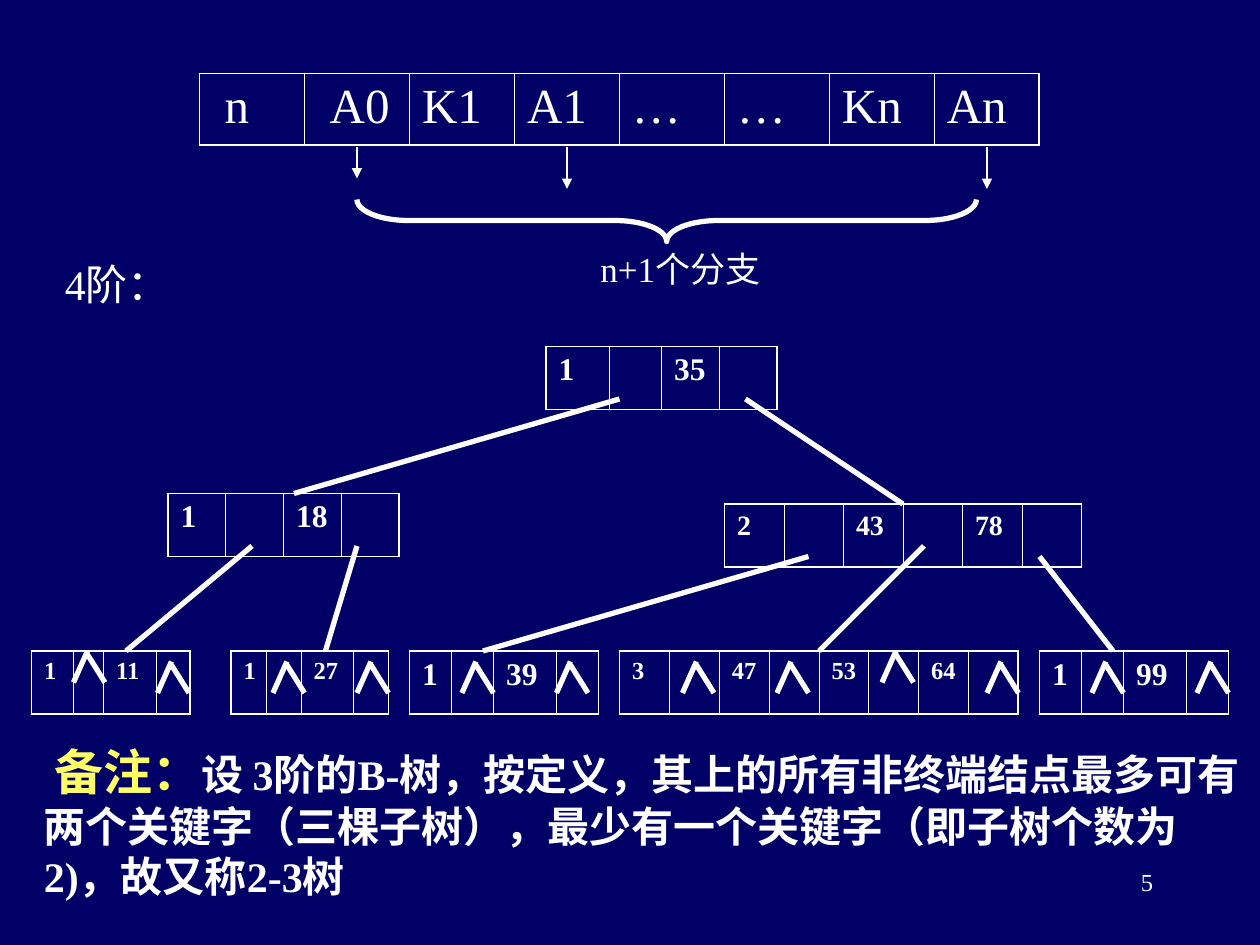
from lxml import etree
from pptx import Presentation
from pptx.dml.color import RGBColor
from pptx.enum.shapes import MSO_CONNECTOR, MSO_SHAPE
from pptx.enum.text import PP_ALIGN
from pptx.oxml.ns import qn
from pptx.util import Inches, Pt

NAVY = RGBColor(0x00, 0x00, 0x66)
WHITE = RGBColor(0xFF, 0xFF, 0xFF)
YELLOW = RGBColor(0xFF, 0xFF, 0x66)
FONT = "Times New Roman"
COLS, ROWS = 120, 90  # slide grid: twelve cells to the inch
NODE_ROWS = 6
LEAF_TOP = 62
THIN, EDGE, BOLD_LINE = 0.45, 1.08, 3


def grid(*lengths):
    return [Inches(n / 12) for n in lengths]


def add_run(p, text, size, color=WHITE, bold=False):
    r = p.add_run()
    r.text = text
    f = r.font
    f.name, f.size, f.bold = FONT, Pt(size), bold
    f.color.rgb = color


def add_text(s, box, runs, align=PP_ALIGN.LEFT, wrap=True):
    """Place a one-paragraph text box; each run is (text, size, color, bold)."""
    tf = s.shapes.add_textbox(*grid(*box)).text_frame
    tf.word_wrap = wrap
    p = tf.paragraphs[0]
    p.alignment = align
    for run in runs:
        add_run(p, *run)
    return p


def add_line(s, start, end, width=BOLD_LINE, arrow=False):
    sp = s.shapes.add_connector(MSO_CONNECTOR.STRAIGHT, *grid(*start, *end))
    sp.line.color.rgb = WHITE
    sp.line.width = Pt(width)
    if arrow:
        etree.SubElement(sp.line._get_or_add_ln(), qn("a:tailEnd"), type="triangle")
    etree.SubElement(sp._element.spPr, qn("a:effectLst"))


def set_borders(cell, widths):
    tcPr = cell._tc.get_or_add_tcPr()
    for i, (side, width) in enumerate(widths.items()):
        ln = etree.Element(qn(f"a:ln{side}"), w=str(int(Pt(width))))
        fill = etree.SubElement(ln, qn("a:solidFill"))
        etree.SubElement(fill, qn("a:srgbClr"), val=str(WHITE))
        tcPr.insert(i, ln)


def add_record(s, box, texts, size, shares=None, bold=True, indents=()):
    """Draw a one-row table of node fields; shares are relative column widths."""
    shares = shares or [1] * len(texts)
    last = len(texts) - 1
    table = s.shapes.add_table(1, len(texts), *grid(*box)).table
    table.first_row = table.horz_banding = False
    for i, (text, share) in enumerate(zip(texts, shares)):
        table.columns[i].width = grid(box[2] * share / sum(shares))[0]
        cell = table.cell(0, i)
        cell.fill.background()
        set_borders(cell, {"L": THIN if i else EDGE,
                           "R": THIN if i < last else EDGE,
                           "T": EDGE, "B": EDGE})
        if i in indents:
            cell.margin_left = Inches(0.2)
        if text:
            add_run(cell.text_frame.paragraphs[0], text, size, WHITE, bold)


def add_node(s, left, top, width, keys, size, shares=None):
    """Draw a tree node: key count, then a pointer field around every key."""
    texts = [str(len(keys)), ""]
    for key in keys:
        texts += [str(key), ""]
    add_record(s, (left, top, width, NODE_ROWS), texts, size, shares)


def add_null(s, left, top):
    add_line(s, (left + 1.33, top), (left, top + 3))
    add_line(s, (left + 1.33, top + 0.33), (left + 3, top + 3))


def add_node_format(s, left, top, width):
    fields = ["n", "A0", "K1", "A1", "…", "…", "Kn", "An"]
    add_record(s, (left, top, width, 6.84), fields, 28, bold=False, indents=(0, 1))
    step = width / len(fields)
    for field, length in ((1, 3), (3, 4), (7, 4)):
        x = left + step * (field + 0.5)
        add_line(s, (x, top + 7), (x, top + 7 + length), 0.75, arrow=True)

    # A left brace turned to point down: its box is centred on the brace.
    span, depth = 59, 4
    mid_x, mid_y = left + 1.5 * step + span / 2, top + 14
    brace = s.shapes.add_shape(
        MSO_SHAPE.LEFT_BRACE,
        *grid(mid_x - depth / 2, mid_y - span / 2, depth, span))
    brace.rotation = 270
    brace.adjustments[0] = 1.23
    brace.shadow.inherit = False
    brace.fill.background()
    brace.line.color.rgb = WHITE
    brace.line.width = Pt(BOLD_LINE)
    add_text(s, (left + 36.6, top + 16, 18.4, 5.3), [("n+1个分支", 20)],
             PP_ALIGN.CENTER, wrap=False)


def add_tree(s):
    add_node(s, 52, 33, 22, [35], 18, (6, 5, 5.5, 5.5))
    add_node(s, 16, 47, 22, [18], 18)
    add_node(s, 69, 48, 34, [43, 78], 16)
    leaves = [
        (3, 15, [11], 14, (4, 2.8, 5, 3.2)),
        (22, 15, [27], 14, (2, 2, 3, 2)),
        (39, 18, [39], 18, (2, 2, 3, 2)),
        (59, 38, [47, 53, 64], 14, None),
        (99, 18, [99], 18, (2, 2, 3, 2)),
    ]
    for left, width, keys, size, shares in leaves:
        add_node(s, left, LEAF_TOP, width, keys, size, shares)

    branches = [
        ((59, 38), (28, 47)), ((71, 38), (86, 48)),
        ((77, 53), (46, LEAF_TOP)), ((88, 52), (78, LEAF_TOP)),
        ((99, 53), (106, LEAF_TOP)), ((24, 52), (12, LEAF_TOP)),
        ((34, 52), (31, LEAF_TOP)),
    ]
    for start, end in branches:
        add_line(s, start, end)
    for left in (7, 84):
        add_null(s, left, LEAF_TOP)
    for left in (15, 26, 34, 44, 53, 65, 74, 94, 104, 114):
        add_null(s, left, LEAF_TOP + 1)


def add_remark(s, box):
    p = add_text(s, box, [
        ("备注：", 28, YELLOW, True),
        ("设 3阶的B-树，按定义，其上的所有非终端结点最多可有两个关键字（三棵子树），"
         "最少有一个关键字（即子树个数为2)，故又称2-3树", 24, WHITE, True),
    ])
    p._p.get_or_add_pPr().set("indent", str(int(Pt(6))))


def main():
    prs = Presentation()
    prs.slide_width, prs.slide_height = grid(COLS, ROWS)
    s = prs.slides.add_slide(prs.slide_layouts[6])
    s.background.fill.solid()
    s.background.fill.fore_color.rgb = NAVY
    add_text(s, (86, 82, 25, 6), [("5", 14)], PP_ALIGN.RIGHT)
    add_node_format(s, 19, 7, 80)
    add_text(s, (5, 24, 24, 6), [("4阶：", 24)])
    add_tree(s)
    add_remark(s, (3, 70, 117, 16.4))
    prs.save("out.pptx")


if __name__ == "__main__":
    main()
